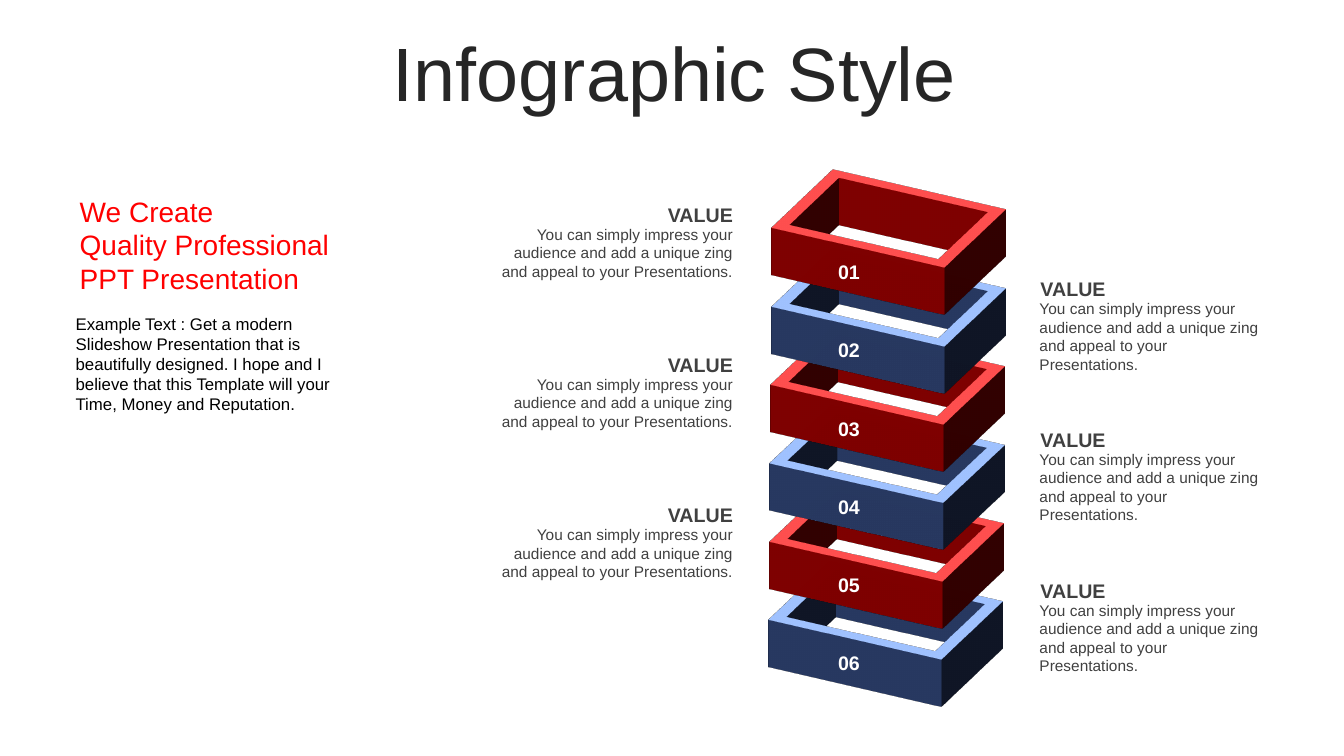
from dataclasses import dataclass

import lxml.etree
import pptx
import pptx.dml.color
import pptx.enum.shapes
import pptx.enum.text
import pptx.oxml
import pptx.oxml.ns
import pptx.util

Inches = pptx.util.Inches
Pt = pptx.util.Pt
ALIGN = pptx.enum.text.PP_ALIGN
ANCHOR = pptx.enum.text.MSO_ANCHOR


@dataclass(frozen=True)
class Theme:
    font: str = "Arial"
    title: str = "262626"
    accent: str = "FF0000"
    body: str = "000000"
    muted: str = "404040"
    light: str = "FFFFFF"
    red: str = "FF0000"
    blue: str = "5072C4"
    title_size: int = 54
    heading_size: int = 20
    label_size: int = 14
    body_size: int = 12
    small_size: int = 11


THEME = Theme()
LEVELS = 6
RING_LEFT, RING_TOP = 7.86, 1.48
RING_STEP = 0.778
STACK_DRIFT = -0.03
RING_DEPTH = Pt(38)
TILT, TURN, SPIN = 307.4, 40, 313.4
VALUE_TEXT = ("You can simply impress your audience and add a unique zing "
              "and appeal to your Presentations.")


def color(value):
    return pptx.dml.color.RGBColor.from_string(value)


def add_text(shapes, box, lines, size, rgb, align=ALIGN.LEFT, bold=False,
             anchor=ANCHOR.TOP, side_inset=0, spacing=None):
    tf = shapes.add_textbox(*map(Inches, box)).text_frame
    tf.word_wrap = True
    tf.vertical_anchor = anchor
    tf.margin_left = tf.margin_right = Inches(side_inset)
    tf.margin_top = tf.margin_bottom = 0
    for i, line in enumerate(lines):
        p = tf.add_paragraph() if i else tf.paragraphs[0]
        p.text = line
        p.alignment = align
        p.line_spacing = spacing
        p.font.name = THEME.font
        p.font.size = Pt(size)
        p.font.bold = bold
        p.font.color.rgb = color(rgb)


def extrude(sp):
    qn = pptx.oxml.ns.qn
    scene = lxml.etree.SubElement(sp.element.spPr, qn("a:scene3d"))
    camera = lxml.etree.SubElement(scene, qn("a:camera"),
                                   prst="orthographicFront")
    angles = {name: str(round(degrees * 60000)) for name, degrees in
              (("lat", TILT), ("lon", TURN), ("rev", SPIN))}
    lxml.etree.SubElement(camera, qn("a:rot"), angles)
    lxml.etree.SubElement(scene, qn("a:lightRig"), rig="threePt", dir="t")
    lxml.etree.SubElement(sp.element.spPr, qn("a:sp3d"),
                          extrusionH=str(RING_DEPTH))


def add_ring(shapes, level, rgb):
    left = RING_LEFT + STACK_DRIFT * level / (LEVELS - 1)
    top = RING_TOP + RING_STEP * level
    sp = shapes.add_shape(pptx.enum.shapes.MSO_SHAPE.FRAME,
                          *map(Inches, (left, top, 1.91, 1.38)))
    sp.adjustments[0] = 0.098
    sp.shadow.inherit = False
    sp.fill.solid()
    sp.fill.fore_color.rgb = color(rgb)
    sp.line.fill.background()
    extrude(sp)


def add_value(slide, left, top, width, align):
    shapes = slide.shapes.add_group_shape().shapes
    add_text(shapes, (left, top + 0.22, width, 0.56), [VALUE_TEXT],
             THEME.small_size, THEME.muted, align)
    add_text(shapes, (left + 0.01, top, width - 0.01, 0.24), ["VALUE"],
             THEME.label_size, THEME.muted, align, bold=True)


def main():
    prs = pptx.Presentation()
    prs.slide_width = Inches(13.33)
    prs.slide_height = Inches(7.5)
    slide = prs.slides.add_slide(prs.slide_layouts[6])

    add_text(slide.shapes, (0.36, 0.37, 12.66, 0.79), ["Infographic Style"],
             THEME.title_size, THEME.title, ALIGN.CENTER,
             anchor=ANCHOR.MIDDLE, side_inset=0.1, spacing=0.9)

    stack = slide.shapes.add_group_shape().shapes
    for level in reversed(range(LEVELS)):
        add_ring(stack, level, THEME.blue if level % 2 else THEME.red)
    for level in range(LEVELS):
        add_text(slide.shapes, (7.64, 2.58 + 0.776 * level, 1.56, 0.24),
                 [f"{level + 1:02}"], THEME.label_size, THEME.light,
                 ALIGN.CENTER, bold=True)

    for row in range(LEVELS // 2):
        add_value(slide, 4.83, 2.01 + 1.49 * row, 2.44, ALIGN.RIGHT)
        add_value(slide, 10.31, 2.75 + 1.495 * row, 2.28, ALIGN.LEFT)

    add_text(slide.shapes, (0.75, 1.92, 2.81, 1.01),
             ["We Create", "Quality Professional", "PPT Presentation"],
             THEME.heading_size, THEME.accent,
             anchor=ANCHOR.MIDDLE, side_inset=0.04)
    add_text(slide.shapes, (0.75, 3.11, 2.85, 1.01),
             ["Example Text : Get a modern Slideshow Presentation that is "
              "beautifully designed. I hope and I believe that this Template "
              "will your Time, Money and Reputation."],
             THEME.body_size, THEME.body)

    prs.save("out.pptx")


if __name__ == "__main__":
    main()
